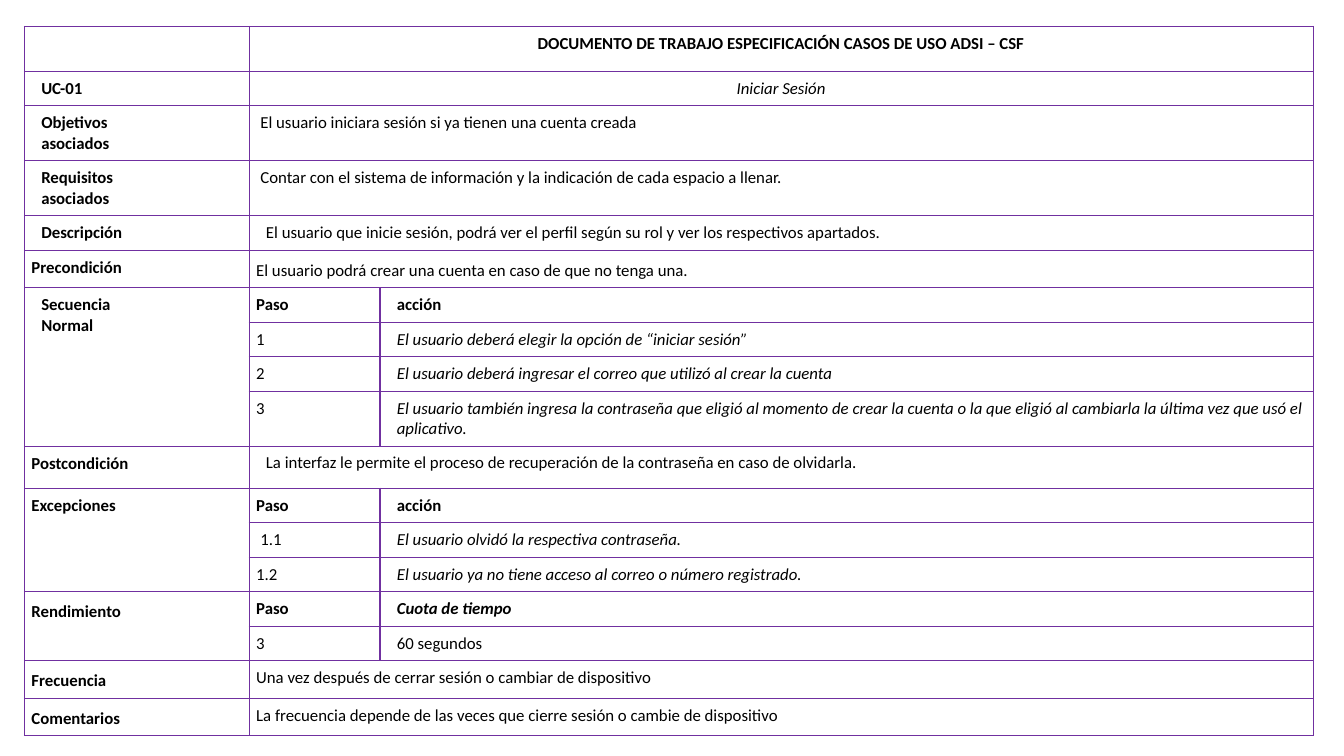
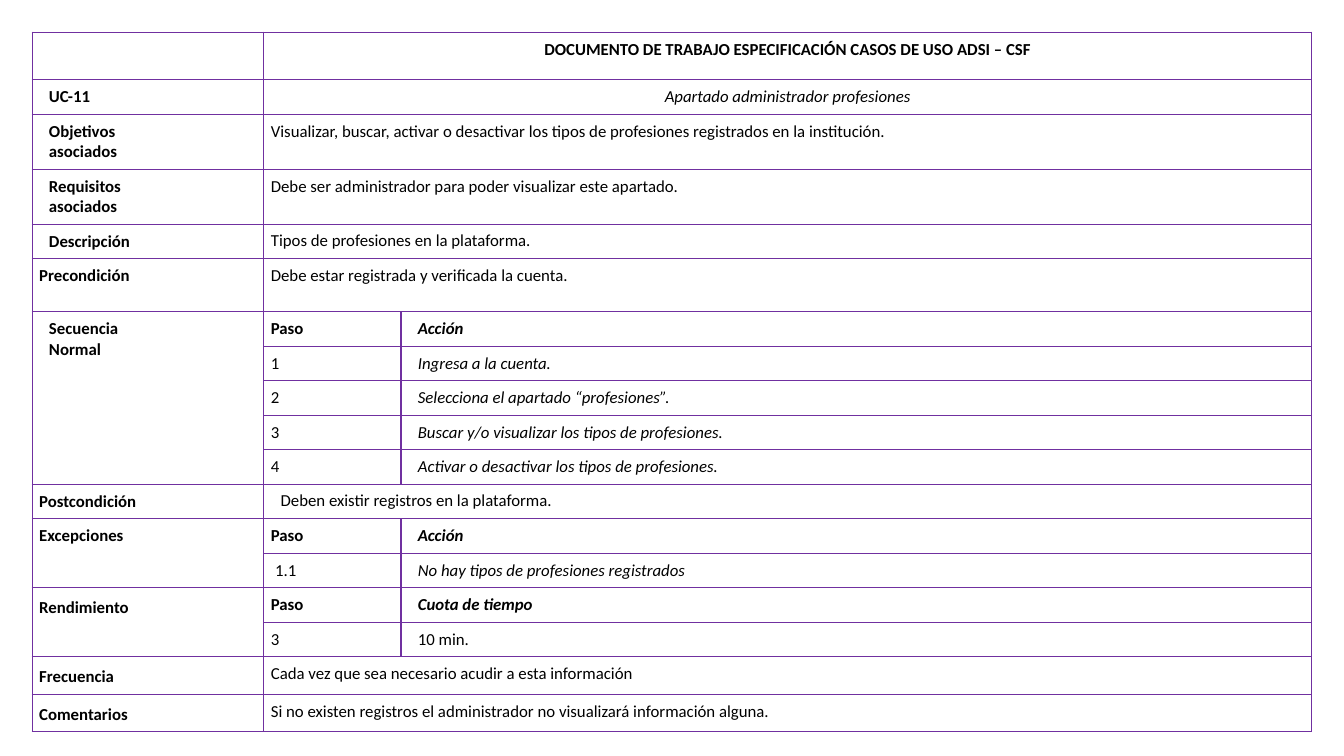
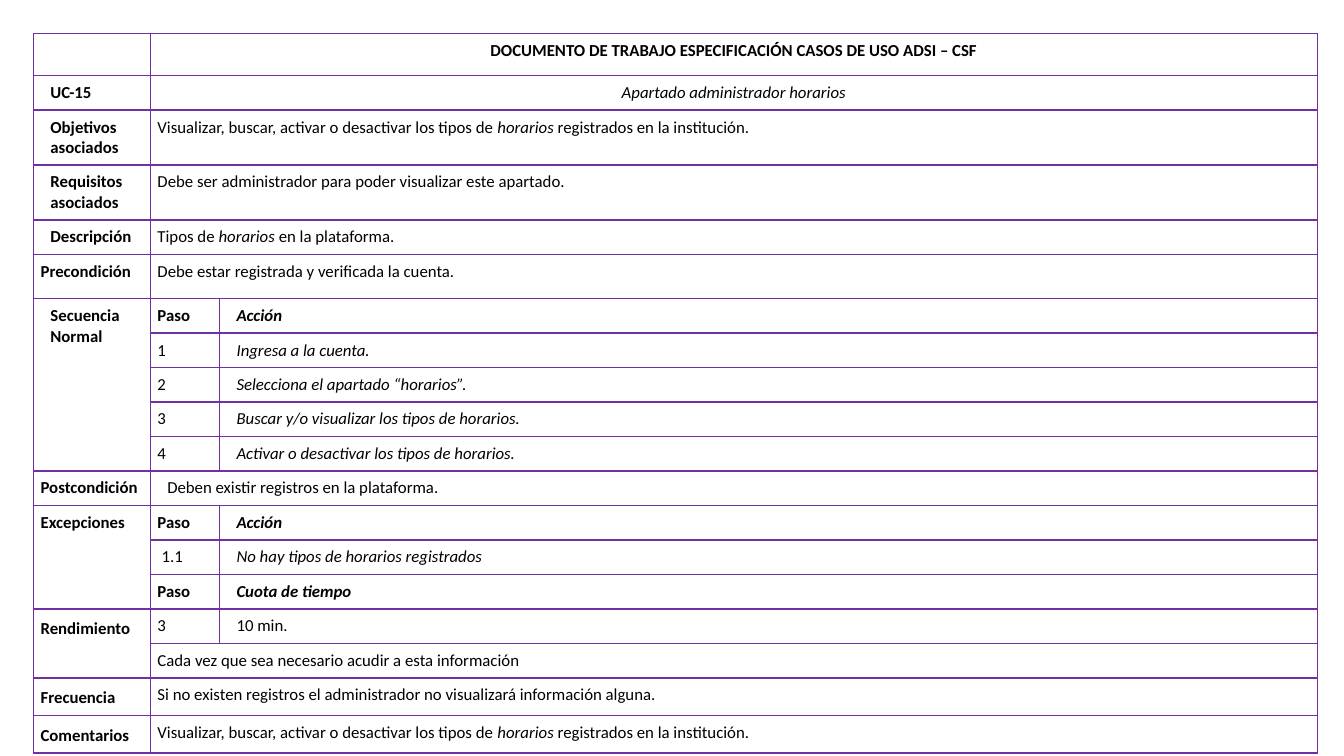
from lxml import etree
from pptx import Presentation, util as u
from pptx.dml import color
from pptx.enum import text
from pptx.oxml import ns


class Theme:
    ink = color.RGBColor(0x00, 0x00, 0x00)
    rule = "7030A0"
    edge = 1
    font = "Calibri"
    size = 12
    inset = 5
    pad = 7
    nudge = 3
    line = 24.6
    loose = 26.8
    double = 39.2


HEAD = "DOCUMENTO DE TRABAJO ESPECIFICACIÓN CASOS DE USO ADSI – CSF"
GOALS, NEEDS, SEQ = "Objetivos\nasociados", "Requisitos\nasociados", "Secuencia\nNormal"
INDENT = (GOALS, NEEDS, SEQ, "Descripción")
AIRY = ("Rendimiento", "Frecuencia", "Comentarios")
PLAIN = ("acción", "60 segundos", "10 min.")
QUOTA = ("Paso", "Cuota de tiempo")
OFTEN = "Cada vez que sea necesario acudir a esta información"
NONE = "Si no existen registros el administrador no visualizará información alguna."


def admin(code, topic, mark):
    return [
        ("", [HEAD]),
        (code, [f"Apartado administrador {topic}"]),
        (GOALS, [f"Visualizar, buscar, activar o desactivar los tipos de {mark}registrados en la institución."]),
        (NEEDS, ["Debe ser administrador para poder visualizar este apartado."]),
        ("Descripción", [f"Tipos de {mark}en la plataforma."]),
        ("Precondición", ["Debe estar registrada y verificada la cuenta."]),
        (SEQ, [
            ("Paso", "Acción"),
            ("1", "Ingresa a la cuenta."),
            ("2", f"Selecciona el apartado “{topic}”."),
            ("3", f"Buscar y/o visualizar los tipos de {topic}."),
            ("4", f"Activar o desactivar los tipos de {topic}."),
        ]),
        ("Postcondición", ["Deben existir registros en la plataforma."]),
        ("Excepciones", [
            ("Paso", "Acción"),
            ("1.1", f"No hay tipos de {topic} registrados"),
        ]),
    ]


def write(cell, words, bold=False, slant=False, pad=0, gap=None, mid=False):
    cell.margin_left = cell.margin_right = u.Pt(Theme.inset)
    cell.margin_top = cell.margin_bottom = u.Pt(Theme.inset)
    frame = cell.text_frame
    for k, line in enumerate(words.split("\n")):
        para = frame.add_paragraph() if k else frame.paragraphs[0]
        para.alignment = text.PP_ALIGN.CENTER if mid else text.PP_ALIGN.LEFT
        if pad:
            para._p.get_or_add_pPr().set("marL", str(int(u.Pt(pad))))
        if gap:
            para.line_spacing = gap
        font = para.font
        font.name, font.size = Theme.font, u.Pt(Theme.size)
        font.bold, font.italic = bold, slant
        font.color.rgb = Theme.ink
        for n, part in enumerate(line.split("*")):
            if part:
                run = para.add_run()
                run.text = part
                if n % 2:
                    run.font.italic = True


login = [
    ("", [HEAD]),
    ("UC-01", ["Iniciar Sesión"]),
    (GOALS, ["El usuario iniciara sesión si ya tienen una cuenta creada"]),
    (NEEDS, ["Contar con el sistema de información y la indicación de cada espacio a llenar."]),
    ("Descripción", ["El usuario que inicie sesión, podrá ver el perfil según su rol y ver los respectivos apartados."]),
    ("Precondición", ["El usuario podrá crear una cuenta en caso de que no tenga una."]),
    (SEQ, [
        ("Paso", "acción"),
        ("1", "El usuario deberá elegir la opción de “iniciar sesión”"),
        ("2", "El usuario deberá ingresar el correo que utilizó al crear la cuenta"),
        ("3", "El usuario también ingresa la contraseña que eligió al momento de crear la cuenta "
              "o la que eligió al cambiarla la última vez que usó el aplicativo."),
    ]),
    ("Postcondición", ["La interfaz le permite el proceso de recuperación de la contraseña en caso de olvidarla."]),
    ("Excepciones", [
        ("Paso", "acción"),
        ("1.1", "El usuario olvidó la respectiva contraseña."),
        ("1.2", "El usuario ya no tiene acceso al correo o número registrado."),
    ]),
    ("Rendimiento", [QUOTA, ("3", "60 segundos")]),
    ("Frecuencia", ["Una vez después de cerrar sesión o cambiar de dispositivo"]),
    ("Comentarios", ["La frecuencia depende de las veces que cierre sesión o cambie de dispositivo"]),
]

jobs = admin("UC-11", "profesiones", "profesiones ") + [
    ("Rendimiento", [QUOTA, ("3", "10 min.")]),
    ("Frecuencia", [OFTEN]),
    ("Comentarios", [NONE]),
]

hours = admin("UC-15", "horarios", "*horarios *")
hours[-1][1].append(QUOTA)
hours += [
    ("Rendimiento", [("3", "10 min."), OFTEN]),
    ("Frecuencia", [NONE]),
    ("Comentarios", hours[2][1]),
]

fixed = {GOALS: Theme.double, NEEDS: Theme.double,
         "Frecuencia": Theme.loose, "Comentarios": Theme.loose}
gaps = {"Descripción": 0.95, "Precondición": 0.95, "Postcondición": 0.95}
pads = {"Postcondición": Theme.pad}
sheets = [
    (login, 17.5, 19, (160.5, 93.5, 666.5),
     {"": 32, "Precondición": Theme.loose, "Postcondición": 30},
     {GOALS: Theme.nudge, NEEDS: Theme.nudge, "Descripción": Theme.pad},
     {"Precondición": 1.15}),
    (jobs, 23, 23, (165.5, 98, 650.5), {"": 34, "Precondición": 38}, {}, {}),
    (hours, 24, 24, (83.5, 49.5, 784), {"": 30, "Precondición": 31.5}, {}, {}),
]

deck = Presentation()
deck.slide_width, deck.slide_height = u.Pt(960), u.Pt(540)

for parts, left, top, cols, tall, shift, lead in sheets:
    slide = deck.slides.add_slide(deck.slide_layouts[6])
    tall, shift, lead = {**fixed, **tall}, {**pads, **shift}, {**gaps, **lead}
    rows = [(label, row) for label, group in parts for row in group]
    highs = [Theme.double if len(row[-1]) > 120 else tall.get(label, Theme.line)
             for label, row in rows]
    grid = slide.shapes.add_table(len(rows), len(cols), u.Pt(left), u.Pt(top),
                                  u.Pt(sum(cols)), u.Pt(sum(highs))).table
    grid.first_row = grid.horz_banding = False
    for col, wide in zip(grid.columns, cols):
        col.width = u.Pt(wide)
    for row, high in zip(grid.rows, highs):
        row.height = u.Pt(high)

    at = 0
    for label, group in parts:
        inner = label in INDENT or label.startswith("UC")
        write(grid.cell(at, 0), label, bold=True, pad=Theme.pad if inner else 0,
              gap=1.15 if label in AIRY else None)
        if len(group) > 1:
            grid.cell(at, 0).merge(grid.cell(at + len(group) - 1, 0))
        for row in group:
            cell = grid.cell(at, 1)
            if isinstance(row, str):
                cell.merge(grid.cell(at, 2))
                name = label.startswith("UC")
                write(cell, row, bold=not label, slant=name, mid=name or not label,
                      pad=shift.get(label, 0), gap=lead.get(label))
            else:
                step, act = row
                bold = step == "Paso"
                write(cell, step, bold=bold, pad=Theme.nudge if step == "1.1" else 0)
                write(grid.cell(at, 2), act, bold=bold, slant=act not in PLAIN, pad=Theme.pad)
            at += 1

    for cell in grid.iter_cells():
        cell.fill.background()
        props = cell._tc.get_or_add_tcPr()
        for k, side in enumerate("LRTB"):
            line = etree.Element(ns.qn(f"a:ln{side}"), w=str(int(u.Pt(Theme.edge))))
            fill = etree.SubElement(line, ns.qn("a:solidFill"))
            etree.SubElement(fill, ns.qn("a:srgbClr"), val=Theme.rule)
            props.insert(k, line)

deck.save("out.pptx")
